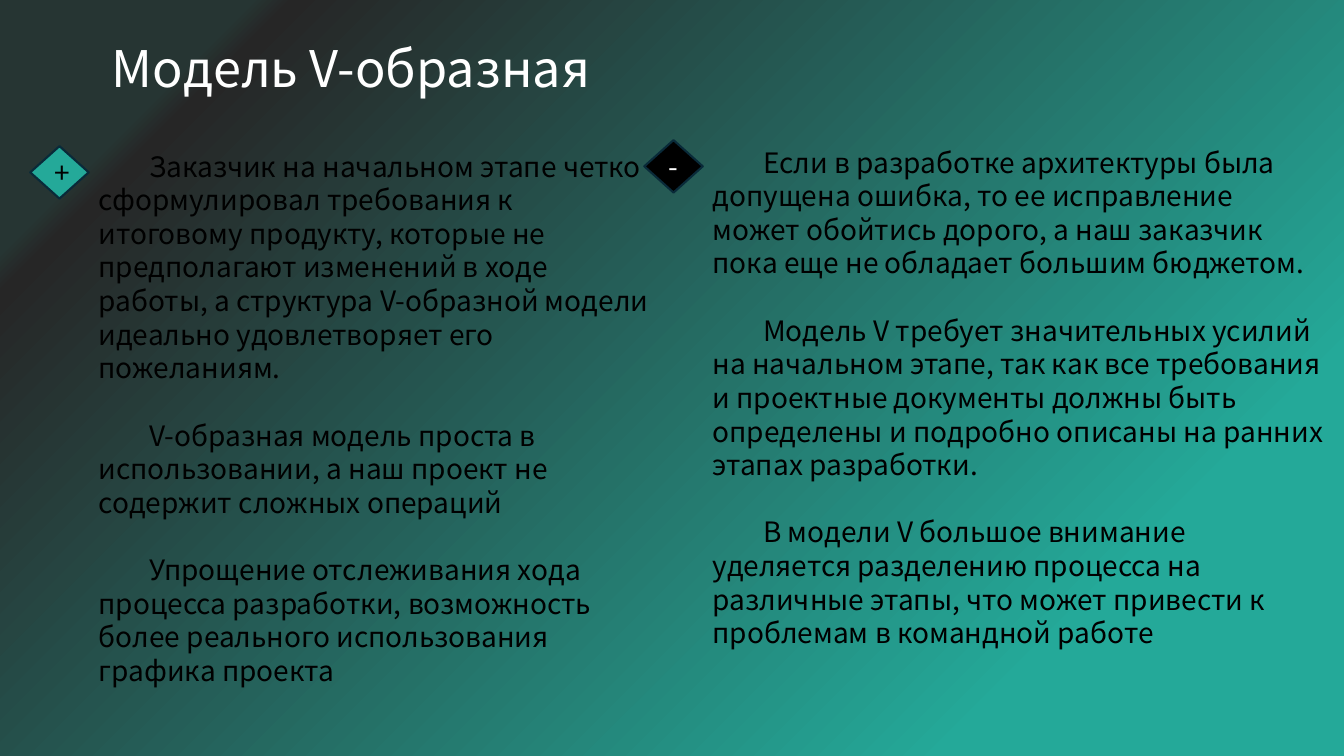
from pptx import Presentation
from pptx.dml.color import RGBColor
from pptx.enum.shapes import MSO_SHAPE
from pptx.enum.text import MSO_ANCHOR, PP_ALIGN
from pptx.oxml import parse_xml
from pptx.oxml.ns import nsdecls
from pptx.util import Inches, Pt

FONT = "Noto Sans CJK KR"
COLORS = {"teal": "24A999", "charcoal": "262626", "slate": "263533",
          "outline": "092A39", "black": "000000", "white": "FFFFFF"}
BACKGROUND_STOPS = [(19, "teal"), (86, "charcoal"), (88, "slate")]
TITLE = "Модель V-образная"
PROS = [
    "Заказчик на начальном этапе четко сформулировал требования к итоговому продукту, "
    "которые не предполагают изменений в ходе работы, а структура V-образной модели "
    "идеально удовлетворяет его пожеланиям.",
    "V-образная модель проста в использовании, а наш проект не содержит сложных операций",
    "Упрощение отслеживания хода процесса разработки, возможность более реального "
    "использования графика проекта",
]
CONS = [
    "Если в разработке архитектуры была допущена ошибка, то ее исправление может обойтись "
    "дорого, а наш заказчик пока еще не обладает большим бюджетом.",
    "Модель V требует значительных усилий на начальном этапе, так как все требования и "
    "проектные документы должны быть определены и подробно описаны на ранних этапах разработки.",
    "В модели V большое внимание уделяется разделению процесса на различные этапы, "
    "что может привести к проблемам в командной работе",
]
COLUMNS = [
    {"sign": "-", "fill": "black", "ink": "white", "marker": (6.39, 1.39),
     "text_top": 1.39, "width": 6.26, "points": CONS},
    {"sign": "+", "fill": "teal", "ink": "black", "marker": (0.3, 1.45),
     "text_top": 1.43, "width": 5.8, "points": PROS},
]
MARKER_WIDTH, MARKER_HEIGHT = 0.58, 0.52
TEXT_HEIGHT = 5.45
BODY_SIZE, LINE_PITCH = 20, 24


def color(name):
    return RGBColor.from_string(COLORS[name])


def style(para, size, ink):
    for span in para.runs:
        span.font.name = FONT
        span.font.size = Pt(size)
        span.font.color.rgb = color(ink)


def paint_background(page):
    stops = "".join(
        f'<a:gs pos="{percent * 1000}"><a:srgbClr val="{COLORS[name]}"/></a:gs>'
        for percent, name in BACKGROUND_STOPS)
    page.element.cSld.insert(0, parse_xml(
        f'<p:bg {nsdecls("p", "a")}><p:bgPr><a:gradFill rotWithShape="1">'
        f'<a:gsLst>{stops}</a:gsLst><a:path path="circle">'
        '<a:fillToRect l="100000" t="100000"/></a:path></a:gradFill>'
        '<a:effectLst/></p:bgPr></p:bg>'))


def add_text(page, left, top, width, height, lines, size, ink):
    box = page.shapes.add_textbox(Inches(left), Inches(top), Inches(width), Inches(height))
    frame = box.text_frame
    frame.word_wrap = True
    frame.text = "\n".join(lines)
    for para in frame.paragraphs:
        style(para, size, ink)
    return frame


def add_marker(page, column):
    left, top = column["marker"]
    diamond = page.shapes.add_shape(MSO_SHAPE.DIAMOND, Inches(left), Inches(top),
                                    Inches(MARKER_WIDTH), Inches(MARKER_HEIGHT))
    diamond.shadow.inherit = False
    diamond.fill.solid()
    diamond.fill.fore_color.rgb = color(column["fill"])
    diamond.line.color.rgb = color("outline")
    diamond.line.width = Pt(1.5)
    frame = diamond.text_frame
    frame.text = column["sign"]
    frame.vertical_anchor = MSO_ANCHOR.MIDDLE
    para = frame.paragraphs[0]
    para.alignment = PP_ALIGN.CENTER
    style(para, BODY_SIZE, column["ink"])


def add_points(page, column):
    left = column["marker"][0] + MARKER_WIDTH
    frame = add_text(page, left, column["text_top"], column["width"], TEXT_HEIGHT,
                     column["points"], BODY_SIZE, "black")
    for para in frame.paragraphs:
        para.line_spacing = Pt(LINE_PITCH)
        para.space_after = Pt(LINE_PITCH)
        properties = para._p.get_or_add_pPr()
        properties.set("marL", "0")
        properties.set("indent", str(Inches(0.5)))


def main():
    deck = Presentation()
    deck.slide_width, deck.slide_height = Inches(13.33), Inches(7.5)
    page = deck.slides.add_slide(deck.slide_layouts[6])
    paint_background(page)
    add_text(page, 1.01, 0.32, 6.12, 0.71, [TITLE], 36, "white")
    for column in COLUMNS:
        add_marker(page, column)
    for column in reversed(COLUMNS):
        add_points(page, column)
    deck.save("out.pptx")


if __name__ == "__main__":
    main()
